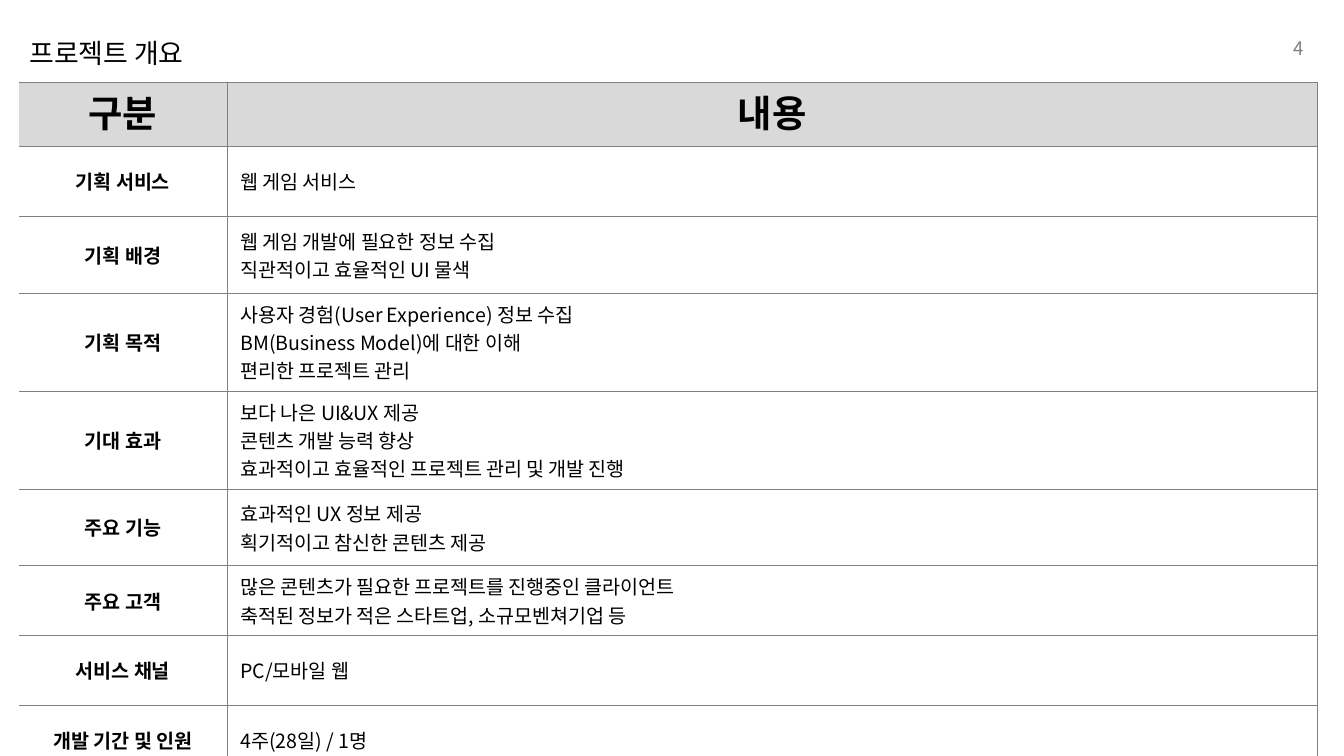
from dataclasses import dataclass

import lxml.etree
import pptx
import pptx.dml.color
import pptx.enum.text
import pptx.oxml.ns
import pptx.util

BLACK = pptx.dml.color.RGBColor(0x00, 0x00, 0x00)
GRAY = pptx.dml.color.RGBColor(0x80, 0x80, 0x80)
HEADER_FILL = pptx.dml.color.RGBColor(0xD9, 0xD9, 0xD9)
WHITE = pptx.dml.color.RGBColor(0xFF, 0xFF, 0xFF)

BODY_FONT = "Noto Sans CJK KR"
HEADER_FONT = "Arial"
LEFT = pptx.enum.text.PP_ALIGN.LEFT
CENTER = pptx.enum.text.PP_ALIGN.CENTER
RIGHT = pptx.enum.text.PP_ALIGN.RIGHT
MIDDLE = pptx.enum.text.MSO_ANCHOR.MIDDLE

SLIDE_WIDTH = pptx.util.Inches(10)
SLIDE_HEIGHT = SLIDE_WIDTH * 9 // 16
COLUMN_WIDTHS = (1.55, 8.11)
HEADER_HEIGHT = 0.48
SINGLE_HEIGHT = 0.52
DOUBLE_HEIGHT = 0.57
TRIPLE_HEIGHT = 0.73


@dataclass(frozen=True)
class OverviewRow:
    category: str
    height: float
    details: tuple[str, ...]


OVERVIEW = (
    OverviewRow("기획 서비스", SINGLE_HEIGHT, ("웹 게임 서비스",)),
    OverviewRow("기획 배경", DOUBLE_HEIGHT,
                ("웹 게임 개발에 필요한 정보 수집", "직관적이고 효율적인 UI 물색")),
    OverviewRow("기획 목적", TRIPLE_HEIGHT,
                ("사용자 경험(User Experience) 정보 수집",
                 "BM(Business Model)에 대한 이해", "편리한 프로젝트 관리")),
    OverviewRow("기대 효과", TRIPLE_HEIGHT,
                ("보다 나은 UI&UX 제공", "콘텐츠 개발 능력 향상",
                 "효과적이고 효율적인 프로젝트 관리 및 개발 진행")),
    OverviewRow("주요 기능", DOUBLE_HEIGHT,
                ("효과적인 UX 정보 제공", "획기적이고 참신한 콘텐츠 제공")),
    OverviewRow("주요 고객", SINGLE_HEIGHT,
                ("많은 콘텐츠가 필요한 프로젝트를 진행중인 클라이언트",
                 "축적된 정보가 적은 스타트업, 소규모벤쳐기업 등")),
    OverviewRow("서비스 채널", SINGLE_HEIGHT, ("PC/모바일 웹",)),
    OverviewRow("개발 기간 및 인원", SINGLE_HEIGHT, ("4주(28일) / 1명",)),
)


def write_text(frame, lines: tuple[str, ...], *, size: float = 10.5, font: str = BODY_FONT,
               color=BLACK, bold: bool = False, align=LEFT, space_before: float = 0) -> None:
    """Fill a text frame with one paragraph per line."""
    for index, line in enumerate(lines):
        paragraph = frame.add_paragraph() if index else frame.paragraphs[0]
        paragraph.alignment = align
        paragraph.space_before = pptx.util.Pt(space_before)
        run = paragraph.add_run()
        run.text = line
        run.font.size = pptx.util.Pt(size)
        run.font.name = font
        run.font.bold = bold
        run.font.color.rgb = color
        # Korean glyphs take the East Asian typeface, without kerning
        properties = run.font._element
        properties.set("kern", "0")
        lxml.etree.SubElement(properties, pptx.oxml.ns.qn("a:ea"), typeface=font)


def add_label(slide, text: str, left: float, top: float, width: float, **text_format) -> None:
    """Add a one-line label, placed in inches."""
    label = slide.shapes.add_textbox(*map(pptx.util.Inches, (left, top, width, 0.3)))
    frame = label.text_frame
    frame.word_wrap = True
    frame.vertical_anchor = MIDDLE
    frame.margin_top = frame.margin_bottom = 0
    write_text(frame, (text,), **text_format)


def set_borders(cell, sides: str) -> None:
    """Draw thin gray lines on the given sides (L, R, T, B) and none elsewhere."""
    properties = cell._tc.get_or_add_tcPr()
    for position, side in enumerate("LRTB"):
        line = lxml.etree.Element(pptx.oxml.ns.qn(f"a:ln{side}"), w=str(pptx.util.Pt(0.25)))
        if side in sides:
            fill = lxml.etree.SubElement(line, pptx.oxml.ns.qn("a:solidFill"))
            lxml.etree.SubElement(fill, pptx.oxml.ns.qn("a:srgbClr"), val=str(GRAY))
        else:
            lxml.etree.SubElement(line, pptx.oxml.ns.qn("a:noFill"))
        properties.insert(position, line)


def fill_row(table, row: int, texts: tuple[tuple[str, ...], ...], formats: tuple[dict, ...],
             fill, margin: float) -> None:
    """Write and style the category and content cells of one row."""
    for column, (lines, text_format) in enumerate(zip(texts, formats)):
        cell = table.cell(row, column)
        cell.fill.solid()
        cell.fill.fore_color.rgb = fill
        cell.vertical_anchor = MIDDLE
        cell.margin_top = cell.margin_bottom = pptx.util.Inches(margin)
        write_text(cell.text_frame, lines, **text_format)
        set_borders(cell, "LRTB" if column else "RTB")  # the outer left edge stays open


def add_overview_table(slide) -> None:
    heights = (HEADER_HEIGHT, *(row.height for row in OVERVIEW))
    table = slide.shapes.add_table(
        len(heights), len(COLUMN_WIDTHS),
        *map(pptx.util.Inches, (0.14, 0.61, sum(COLUMN_WIDTHS), sum(heights)))).table
    table.first_row = table.horz_banding = False
    for column, width in zip(table.columns, COLUMN_WIDTHS):
        column.width = pptx.util.Inches(width)
    for row, height in zip(table.rows, heights):
        row.height = pptx.util.Inches(height)

    # Header row
    header = dict(size=20, font=HEADER_FONT, bold=True, align=CENTER, space_before=4)
    fill_row(table, 0, (("구분",), ("내용",)), (header, header), HEADER_FILL, 0.04)

    # Overview rows
    category = dict(bold=True, align=CENTER)
    for index, row in enumerate(OVERVIEW, start=1):
        fill_row(table, index, ((row.category,), row.details), (category, {}), WHITE, 0.05)


def main() -> None:
    presentation = pptx.Presentation()
    presentation.slide_width = SLIDE_WIDTH
    presentation.slide_height = SLIDE_HEIGHT
    slide = presentation.slides.add_slide(presentation.slide_layouts[6])

    # Title and page number
    add_label(slide, "프로젝트 개요", 0.12, 0.24, 8.03, size=14.4)
    add_label(slide, "4", 9.2, 0.21, 0.6, size=10, color=GRAY, align=RIGHT)

    add_overview_table(slide)
    presentation.save("out.pptx")


if __name__ == "__main__":
    main()
